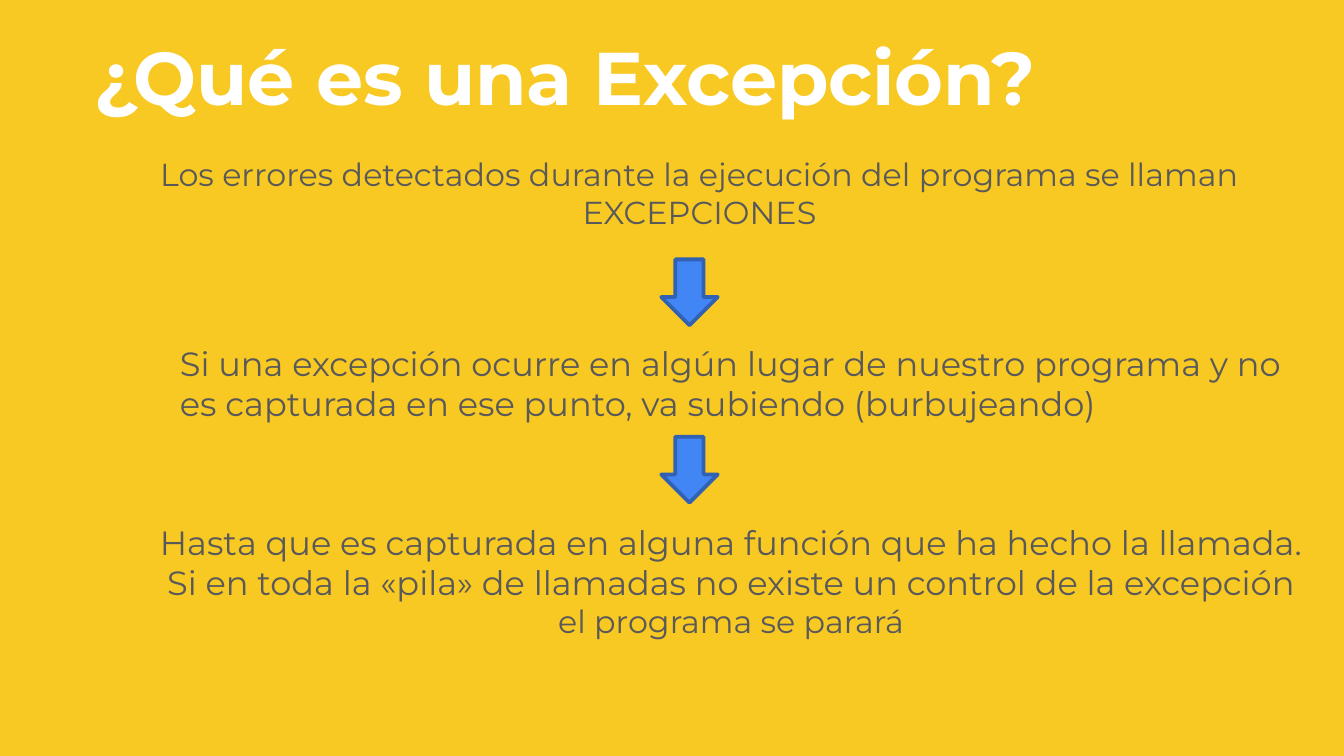
from dataclasses import dataclass

from pptx import Presentation
from pptx.dml.color import RGBColor
from pptx.enum import shapes, text
from pptx.util import Inches, Pt

FONT = "Montserrat"
YELLOW, WHITE, GRAY = "F8C823", "FFFFFF", "595959"
BLUE, DARK_BLUE = "4285F4", "3061B2"
LEFT, CENTER = text.PP_ALIGN.LEFT, text.PP_ALIGN.CENTER
TOP, BOTTOM = text.MSO_ANCHOR.TOP, text.MSO_ANCHOR.BOTTOM


@dataclass
class Block:
    box: tuple[float, float, float, float]
    runs: list[tuple[str, int]]  # wording and size in points
    align: text.PP_ALIGN = CENTER
    anchor: text.MSO_ANCHOR = TOP
    color: str = GRAY
    bold: bool = False
    inset: float = 0.1  # above and below the text


def rgb(value: str) -> RGBColor:
    return RGBColor.from_string(value)


def write_block(shape, block: Block) -> None:
    shape.left, shape.top, shape.width, shape.height = map(Inches, block.box)
    frame = shape.text_frame
    frame.word_wrap = True
    frame.auto_size = text.MSO_AUTO_SIZE.NONE
    frame.vertical_anchor = block.anchor
    frame.margin_left = frame.margin_right = Inches(0.1)
    frame.margin_top = frame.margin_bottom = Inches(block.inset)
    paragraph = frame.paragraphs[0]
    paragraph.alignment = block.align
    paragraph.space_before = Pt(0)
    for wording, size in block.runs:
        run = paragraph.add_run()
        run.text = wording
        run.font.name = FONT
        run.font.size = Pt(size)
        run.font.bold = block.bold
        run.font.color.rgb = rgb(block.color)


def add_step_arrow(slide, top: float) -> None:
    arrow = slide.shapes.add_shape(
        shapes.MSO_SHAPE.DOWN_ARROW,
        Inches(4.92), Inches(top), Inches(0.42), Inches(0.49))
    arrow.shadow.inherit = False
    arrow.fill.solid()
    arrow.fill.fore_color.rgb = rgb(BLUE)
    arrow.line.color.rgb = rgb(DARK_BLUE)
    arrow.line.width = Pt(2)


TITLE = Block((0.6, 0.01, 8.8, 0.99), [("¿Qué es una Excepción?", 40)],
              LEFT, BOTTOM, WHITE, bold=True)
DETECTED = Block(
    (0.77, 1.05, 8.87, 1.55),
    [("Los errores detectados durante la ejecución del programa "
      "se llaman EXCEPCIONES", 17)])
BUBBLING = Block(
    (1.24, 2.5, 8.41, 0.71),
    [("Si una excepción ocurre en algún lugar de nuestro programa y no "
      "es capturada en ese punto, va subiendo (burbujeando)", 18)],
    LEFT, inset=0.05)
CAPTURED = Block(
    (1.04, 3.78, 8.8, 1.28),
    [("Hasta que es capturada en alguna función que ha hecho la llamada. "
      "Si en toda la «pila» de llamadas no existe un control de la "
      "excepción ", 18),
     ("el programa se parará", 17)])


def main() -> None:
    # Widescreen page, 16:9
    prs = Presentation()
    prs.slide_width = Inches(10)
    prs.slide_height = prs.slide_width * 9 // 16
    slide = prs.slides.add_slide(prs.slide_layouts[0])

    # Background
    slide.background.fill.solid()
    slide.background.fill.fore_color.rgb = rgb(YELLOW)

    # Title and closing step in the placeholders
    write_block(slide.shapes.title, TITLE)
    write_block(slide.placeholders[1], CAPTURED)

    # First two steps
    for block in (DETECTED, BUBBLING):
        write_block(slide.shapes.add_textbox(0, 0, 0, 0), block)

    # Arrows between the steps
    for top in (1.93, 3.25):
        add_step_arrow(slide, top)

    prs.save("out.pptx")


if __name__ == "__main__":
    main()
